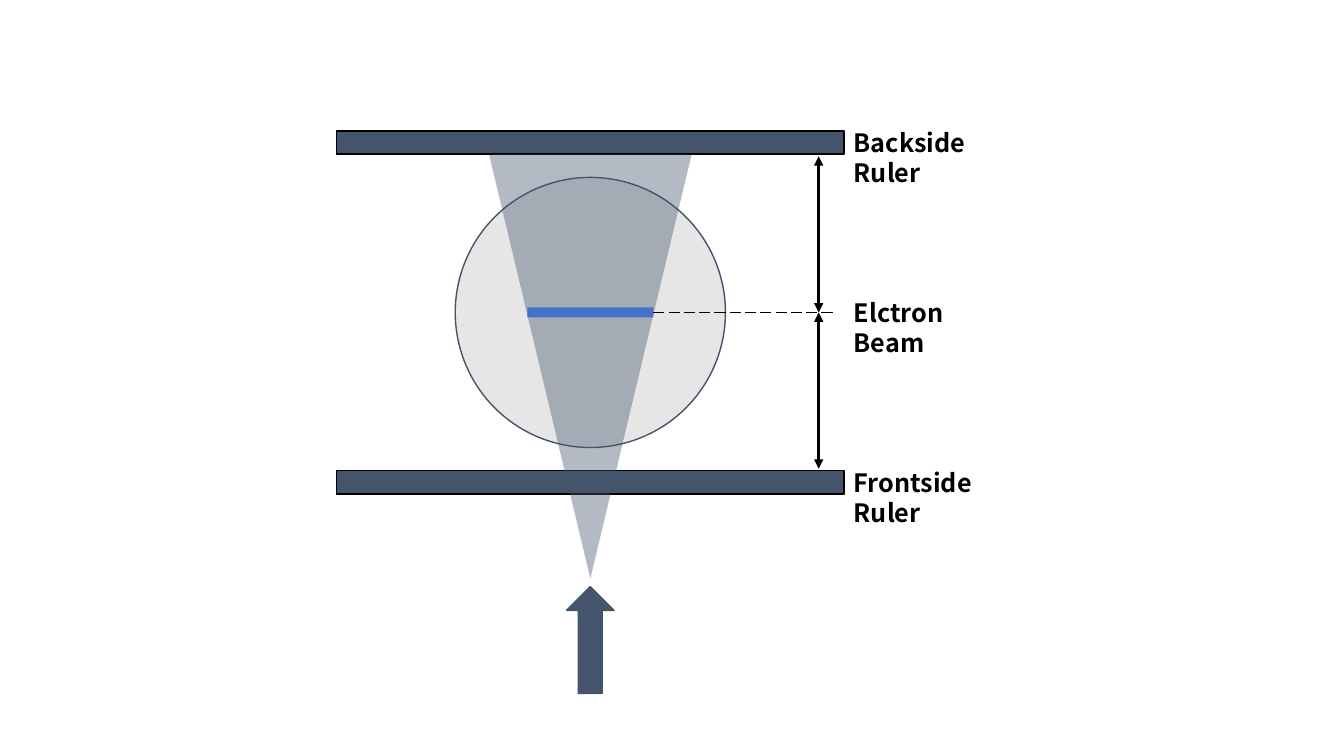
import pptx
import pptx.util
import pptx.dml.color
import pptx.enum.dml
import pptx.enum.shapes
import pptx.oxml.ns
import lxml.etree

SHAPE = pptx.enum.shapes.MSO_SHAPE
CELL = 0.1  # grid cell in inches
NAVY, GREY, BLUE, BLACK = "44546A", "E7E6E6", "4472C4", "000000"


def rgb(value):
    return pptx.dml.color.RGBColor.from_string(value)


def cells(*values):
    return [pptx.util.Inches(v * CELL) for v in values]


def child(parent, tag, **attributes):
    return lxml.etree.SubElement(parent, pptx.oxml.ns.qn(tag), attributes)


def add_centred(s, kind, col, row, width, height, fill, line=None, rotation=0, alpha=None):
    sp = s.shapes.add_shape(kind, *cells(col - width / 2, row - height / 2, width, height))
    sp.shadow.inherit = False
    sp.rotation = rotation
    sp.fill.solid()
    sp.fill.fore_color.rgb = rgb(fill)
    if alpha:
        colour = sp.fill._xPr.find(".//" + pptx.oxml.ns.qn("a:srgbClr"))
        child(colour, "a:alpha", val=str(alpha * 1000))
    if line:
        sp.line.color.rgb = rgb(line)
        sp.line.width = pptx.util.Pt(1)
    else:
        sp.line.fill.background()


def add_line(s, start, end, width, dash=None, arrows=False):
    c = s.shapes.add_connector(pptx.enum.shapes.MSO_CONNECTOR.STRAIGHT, *cells(*start, *end))
    c.line.color.rgb = rgb(BLACK)
    c.line.width = pptx.util.Pt(width)
    if dash:
        c.line.dash_style = dash
    if arrows:
        for tag in ("a:headEnd", "a:tailEnd"):
            child(c.line._ln, tag, type="triangle")
    child(c._element.spPr, "a:effectLst")


def add_label(s, text, col, row):
    tf = s.shapes.add_textbox(*cells(col, row - 2, 17, 4)).text_frame
    tf.word_wrap = True
    r = tf.paragraphs[0].add_run()
    r.text = text
    style = {"name": "Noto Sans CJK KR", "size": pptx.util.Pt(18), "bold": True}
    for key, value in style.items():
        setattr(r.font, key, value)
    r.font.color.rgb = rgb(BLACK)


def beam_diagram(s, left, top, width, height):
    """Place the ruler set-up in a box measured in grid cells."""
    thick = 2.3
    centre, right = left + width / 2, left + width
    back, front = top + thick / 2, top + height - thick / 2
    beam = top + height / 2
    beam_width, cone_height = 12.5, 42.1

    # Chamber and rulers
    add_centred(s, SHAPE.OVAL, centre, beam, 26.8, 26.8, GREY, NAVY)
    for row in (front, back):
        add_centred(s, SHAPE.RECTANGLE, centre, row, width, thick, NAVY, BLACK)

    # Viewing direction, field of view and beam
    add_centred(s, SHAPE.RIGHT_ARROW, centre, top + 50.5, 10.6, 4.7, NAVY, NAVY, rotation=270)
    add_centred(s, SHAPE.ISOSCELES_TRIANGLE, centre, top + thick + cone_height / 2,
                20.1, cone_height, NAVY, rotation=180, alpha=40)
    add_centred(s, SHAPE.RECTANGLE, centre, beam, beam_width, 1, BLUE)

    # Labels
    for text, row in (("Elctron Beam", beam), ("Backside Ruler", back), ("Frontside Ruler", front)):
        add_label(s, text, right, row)

    # Equal distances from the beam to both rulers
    col, reach = right - 2.5, 15.5
    for row in (beam - reach, beam):
        add_line(s, (col, row), (col, row + reach), 2.25, arrows=True)
    add_line(s, (centre + beam_width / 2, beam), (right - 1, beam), 1,
             dash=pptx.enum.dml.MSO_LINE.LONG_DASH)


prs = pptx.Presentation()
prs.slide_width = pptx.util.Inches(13.33)
prs.slide_height = pptx.util.Inches(7.5)
s = prs.slides.add_slide(prs.slide_layouts[6])
beam_diagram(s, 33.4, 13, 50.3, 36)
prs.save("out.pptx")
